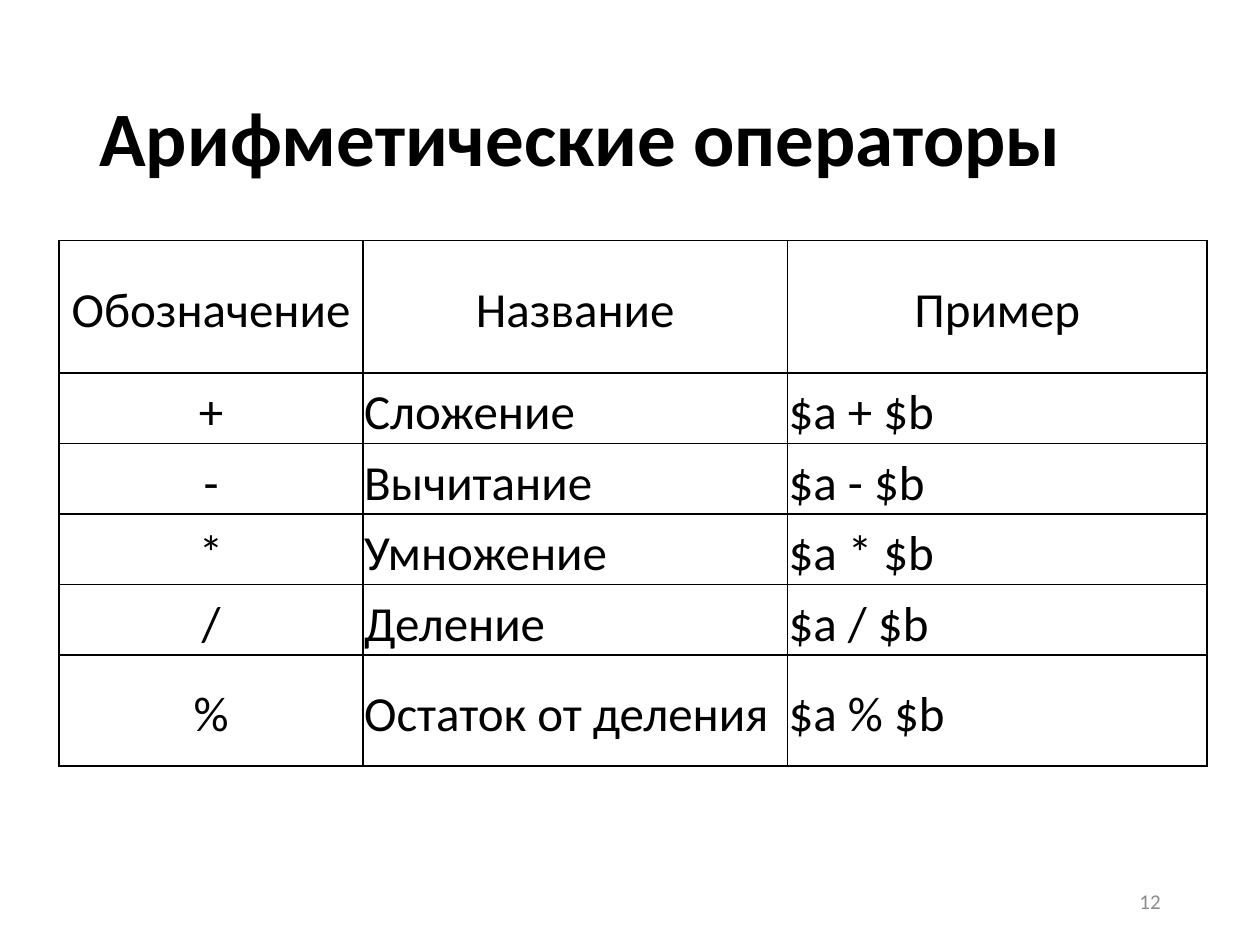
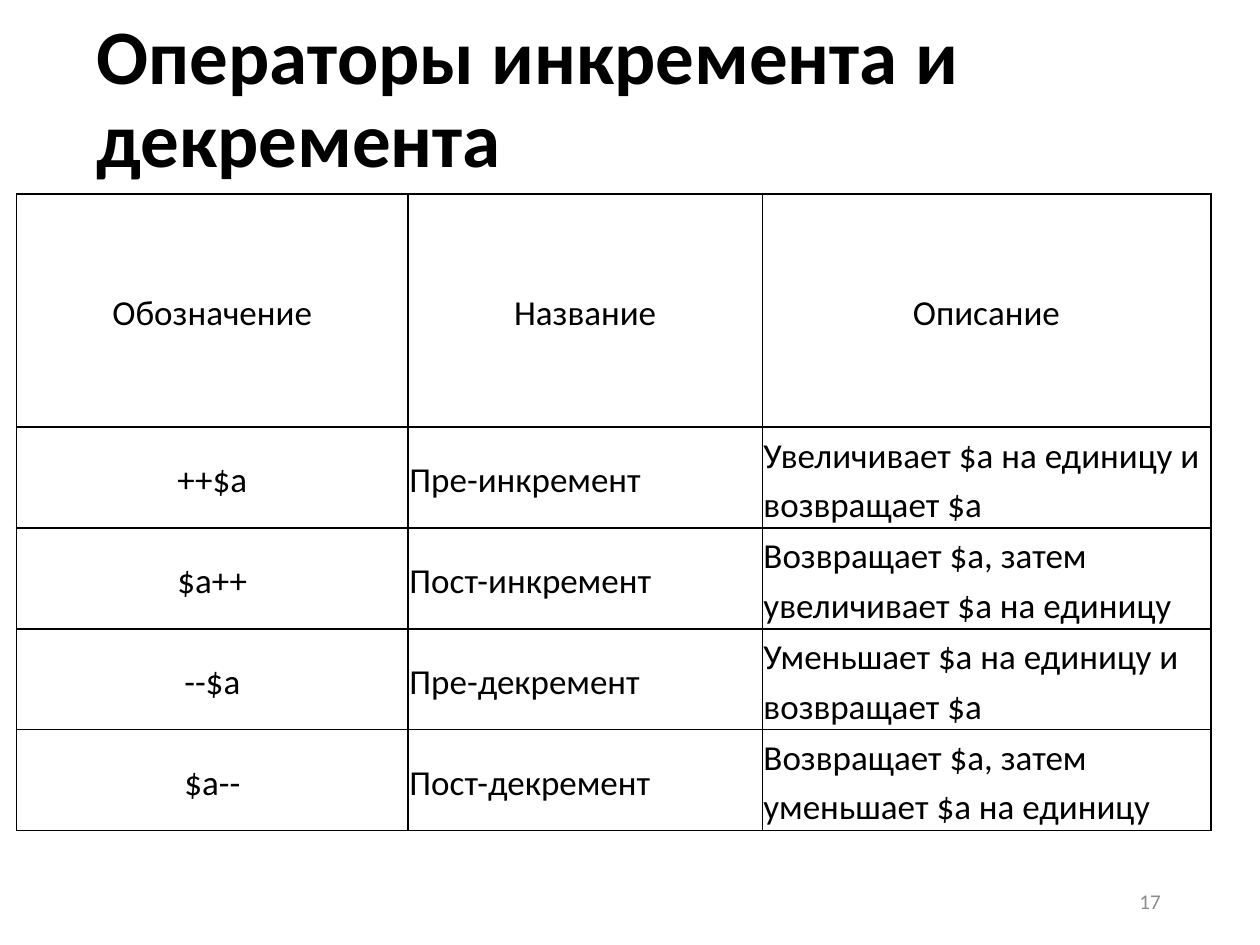
"""Build two slides with tables of PHP operators."""
import pptx
import pptx.dml.color
import pptx.enum.text
import pptx.oxml
import pptx.oxml.ns
import pptx.util

INK, GREY = "000000", "8C8C8C"
FONT = "Calibri"
PAGE = (10, 7.5)
NUMBER = (7.06, 6.95, 2.25, 0.4)
INSET = 0.01

SLIDES = [
    {
        "title": "Арифметические операторы",
        "box": (0.69, 0.4, 8.62, 1.45),
        "number": "12",
        "corner": (0.47, 1.91),
        "size": 28,
        "cols": [2.41, 3.37, 3.33],
        "rows": [1.05] + [0.56] * 4 + [0.88],
        "cells": [
            ("Обозначение", "Название", "Пример"),
            ("+", "Сложение", "$a + $b"),
            ("-", "Вычитание", "$a - $b"),
            ("*", "Умножение", "$a * $b"),
            ("/", "Деление", "$a / $b"),
            ("%", "Остаток от деления", "$a % $b"),
        ],
    },
    {
        "title": "Операторы инкремента и декремента",
        "box": (0.67, 0.08, 9.17, 1.45),
        "number": "17",
        "corner": (0.13, 1.54),
        "size": 20,
        "cols": [3.11, 2.81, 3.56],
        "rows": [1.85] + [0.8] * 4,
        "cells": [
            ("Обозначение", "Название", "Описание"),
            ("++$a", "Пре-инкремент", "Увеличивает $a на единицу и возвращает $a"),
            ("$a++", "Пост-инкремент", "Возвращает $a, затем увеличивает $a на единицу"),
            ("--$a", "Пре-декремент", "Уменьшает $a на единицу и возвращает $a"),
            ("$a--", "Пост-декремент", "Возвращает $a, затем уменьшает $a на единицу"),
        ],
    },
]

ALIGN = pptx.enum.text.PP_ALIGN
MIDDLE = pptx.enum.text.MSO_ANCHOR.MIDDLE
inch = pptx.util.Inches


def color(text):
    return pptx.dml.color.RGBColor.from_string(text)


def write(frame, text, size, ink=INK, align=ALIGN.LEFT, space=1.0, bold=False):
    frame.word_wrap = True
    para = frame.paragraphs[0]
    para.text = text
    para.alignment = align
    para.line_spacing = space
    font = para.font
    font.name, font.size, font.bold = FONT, pptx.util.Pt(size), bold
    font.color.rgb = color(ink)


def label(slide, box, text, size, **style):
    frame = slide.shapes.add_textbox(*map(inch, box)).text_frame
    frame.vertical_anchor = MIDDLE
    write(frame, text, size, **style)


def border(cell):
    props = cell._tc.get_or_add_tcPr()
    for side in "LRTB":
        props.append(pptx.oxml.parse_xml(
            f'<a:ln{side} {pptx.oxml.ns.nsdecls("a")} w="12700">'
            f'<a:solidFill><a:srgbClr val="{INK}"/></a:solidFill></a:ln{side}>'))


def grid(slide, data):
    cols, rows = data["cols"], data["rows"]
    box = (*data["corner"], sum(cols), sum(rows))
    table = slide.shapes.add_table(len(rows), len(cols), *map(inch, box)).table
    table.first_row = table.horz_banding = False
    for col, width in zip(table.columns, cols):
        col.width = inch(width)
    for r, (row, height) in enumerate(zip(table.rows, rows)):
        row.height = inch(height)
        for c, (cell, text) in enumerate(zip(row.cells, data["cells"][r])):
            cell.margin_left = cell.margin_right = inch(INSET)
            cell.margin_top = cell.margin_bottom = inch(INSET)
            cell.vertical_anchor = MIDDLE
            border(cell)
            cell.fill.background()
            align = ALIGN.LEFT if r and c else ALIGN.CENTER
            write(cell.text_frame, text, data["size"], align=align, space=1.15)


def main():
    deck = pptx.Presentation()
    deck.slide_width, deck.slide_height = map(inch, PAGE)
    for data in SLIDES:
        slide = deck.slides.add_slide(deck.slide_layouts[6])
        label(slide, data["box"], data["title"], 44, space=0.9, bold=True)
        grid(slide, data)
        label(slide, NUMBER, data["number"], 12, ink=GREY, align=ALIGN.RIGHT)
    deck.save("out.pptx")


if __name__ == "__main__":
    main()
